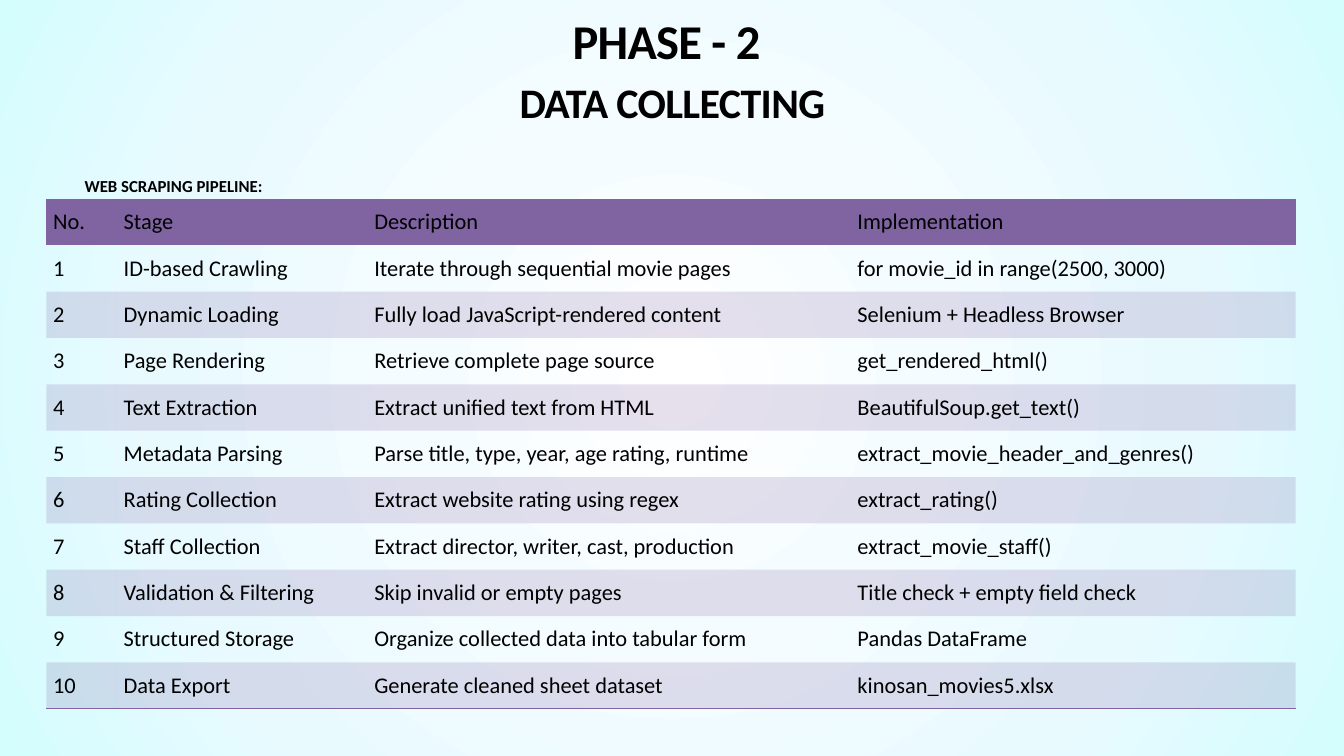
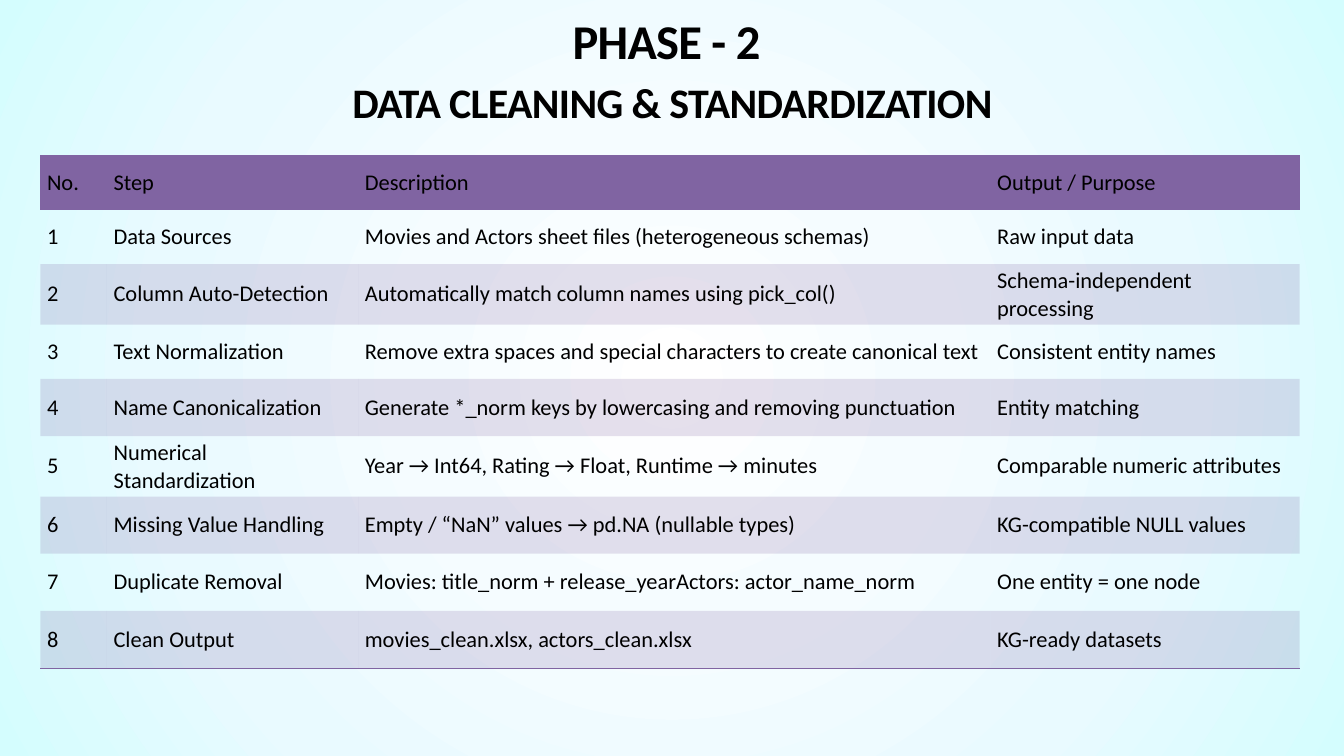
from lxml import etree
from pptx import Presentation
from pptx import util as u
from pptx.dml.color import RGBColor
from pptx.enum import text
from pptx.oxml import parse_xml
from pptx.oxml.ns import nsdecls, qn

COLORS = {
    "ink": "000000",
    "purple": "8064A2",
    "center": "FFFFFF",
    "inner": "F5FCFF",
    "outer": "E9FAFF",
    "edge": "D4FDFE",
}
GLOW = [(0, "center"), (33, "inner"), (67, "outer"), (100, "edge")]
FONT = "Calibri"
NO_STYLE = "{2D5ABB26-0587-4C30-8999-92F81FD0307C}"
BAND_OPACITY = 20

# Grid of square cells, 20 columns across the slide
WIDTH, HEIGHT = u.Inches(20), u.Inches(11.25)
CELL = WIDTH / 20

# Text styles: size, bold, letter spacing, line spacing, alignment
PHASE = {"size": 52, "bold": True, "tracking": -0.8, "leading": 72.8, "centred": True}
TITLE = {"size": 45, "bold": True, "tracking": -0.7, "leading": 63, "centred": True}
LABEL = {"size": 18, "bold": True}
ENTRY = {"size": 24}

PIPELINE = [
    ("No.", "Stage", "Description", "Implementation"),
    ("1", "ID-based Crawling", "Iterate through sequential movie pages",
     "for movie_id in range(2500, 3000)"),
    ("2", "Dynamic Loading", "Fully load JavaScript-rendered content",
     "Selenium + Headless Browser"),
    ("3", "Page Rendering", "Retrieve complete page source", "get_rendered_html()"),
    ("4", "Text Extraction", "Extract unified text from HTML", "BeautifulSoup.get_text()"),
    ("5", "Metadata Parsing", "Parse title, type, year, age rating, runtime",
     "extract_movie_header_and_genres()"),
    ("6", "Rating Collection", "Extract website rating using regex", "extract_rating()"),
    ("7", "Staff Collection", "Extract director, writer, cast, production",
     "extract_movie_staff()"),
    ("8", "Validation & Filtering", "Skip invalid or empty pages",
     "Title check + empty field check"),
    ("9", "Structured Storage", "Organize collected data into tabular form",
     "Pandas DataFrame"),
    ("10", "Data Export", "Generate cleaned sheet dataset", "kinosan_movies5.xlsx"),
]
CLEANING = [
    ("No.", "Step", "Description", "Output / Purpose"),
    ("1", "Data Sources", "Movies and Actors sheet files (heterogeneous schemas)",
     "Raw input data"),
    ("2", "Column Auto-Detection", "Automatically match column names using pick_col()",
     "Schema-independent processing"),
    ("3", "Text Normalization",
     "Remove extra spaces and special characters to create canonical text",
     "Consistent entity names"),
    ("4", "Name Canonicalization",
     "Generate *_norm keys by lowercasing and removing punctuation", "Entity matching"),
    ("5", "Numerical Standardization", "Year → Int64, Rating → Float, Runtime → minutes",
     "Comparable numeric attributes"),
    ("6", "Missing Value Handling", "Empty / “NaN” values → pd.NA (nullable types)",
     "KG-compatible NULL values"),
    ("7", "Duplicate Removal", "Movies: title_norm + release_yearActors: actor_name_norm",
     "One entity = one node"),
    ("8", "Clean Output", "movies_clean.xlsx, actors_clean.xlsx", "KG-ready datasets"),
]


def grid(*lengths):
    return [round(length * CELL) for length in lengths]


def write(para, words, style):
    """Put one styled span into a paragraph."""
    span = para.add_run()
    span.text = words
    formats = {"name": FONT, "size": u.Pt(style["size"]), "bold": style.get("bold", False)}
    for name, value in formats.items():
        setattr(span.font, name, value)
    span.font.color.rgb = RGBColor.from_string(COLORS["ink"])
    if "tracking" in style:
        span.font._element.set("spc", str(round(style["tracking"] * 100)))
    if "leading" in style:
        para.line_spacing = u.Pt(style["leading"])
    if style.get("centred"):
        para.alignment = text.PP_ALIGN.CENTER


def add_text(page, place, words, style, inset=True):
    frame = page.shapes.add_textbox(*grid(*place)).text_frame
    frame.word_wrap = True
    frame.auto_size = text.MSO_AUTO_SIZE.SHAPE_TO_FIT_TEXT
    if not inset:
        for side in ("left", "top", "right", "bottom"):
            setattr(frame, f"margin_{side}", 0)
    write(frame.paragraphs[0], words, style)


def paint_background(page):
    """Radial glow from the middle of the page to its edges."""
    page.background.fill.gradient()
    glow = page.background._cSld.find(".//" + qn("a:gradFill"))
    stops = "".join(
        f'<a:gs pos="{share * 1000}"><a:srgbClr val="{COLORS[name]}"/></a:gs>'
        for share, name in GLOW)
    glow.getparent().replace(glow, parse_xml(
        f'<a:gradFill {nsdecls("a")} rotWithShape="1"><a:gsLst>{stops}</a:gsLst>'
        '<a:path path="circle"><a:fillToRect l="50000" t="50000" r="50000" b="50000"/>'
        '</a:path></a:gradFill>'))


def add_page(deck, title):
    """Page with the shared background and both heading lines."""
    page = deck.slides.add_slide(deck.slide_layouts[6])
    paint_background(page)
    add_text(page, (3.29, 1.02, 13.43, 0.85), title, TITLE, inset=False)
    add_text(page, (8.16, 0.02, 3.67, 0.98), "PHASE - 2 ", PHASE, inset=False)
    return page


def fill_cell(cell, opacity):
    if not opacity:
        cell.fill.background()
        return
    cell.fill.solid()
    cell.fill.fore_color.rgb = RGBColor.from_string(COLORS["purple"])
    if opacity < 100:
        color = cell._tc.tcPr.find(".//" + qn("a:srgbClr"))
        etree.SubElement(color, qn("a:alpha")).set("val", str(opacity * 1000))


def rule_cell(cell, side):
    """Border of one point on the top (T) or bottom (B) side."""
    cell._tc.tcPr.insert(0, parse_xml(
        f'<a:ln{side} {nsdecls("a")} w="{u.Pt(1)}"><a:solidFill>'
        f'<a:srgbClr val="{COLORS["purple"]}"/></a:solidFill></a:ln{side}>'))


def add_banded_table(page, left, top, widths, heights, entries):
    place = grid(left, top, sum(widths), sum(heights))
    table = page.shapes.add_table(len(entries), len(widths), *place).table
    table.first_row = table.horz_banding = False
    table._tbl.tblPr.find(qn("a:tableStyleId")).text = NO_STYLE
    for column, width in zip(table.columns, grid(*widths)):
        column.width = width
    for row, height in zip(table.rows, grid(*heights)):
        row.height = height

    last = len(entries) - 1
    for number, entry in enumerate(entries):
        opacity = 100 if number == 0 else BAND_OPACITY if number % 2 == 0 else 0
        for cell, words in zip(table.rows[number].cells, entry):
            cell.vertical_anchor = text.MSO_ANCHOR.MIDDLE
            write(cell.text_frame.paragraphs[0], words, ENTRY)
            fill_cell(cell, opacity)
            if number in (0, last):
                rule_cell(cell, "B" if number else "T")


def main():
    deck = Presentation()
    deck.slide_width, deck.slide_height = WIDTH, HEIGHT

    # Data collecting
    page = add_page(deck, "DATA COLLECTING")
    add_text(page, (1.16, 2.56, 7.97, 0.4), "WEB SCRAPING PIPELINE:", LABEL)
    add_banded_table(page, 0.69, 2.96, [1.05, 3.73, 7.19, 6.62],
                     [0.69] * len(PIPELINE), PIPELINE)

    # Data cleaning
    page = add_page(deck, "DATA CLEANING & STANDARDIZATION")
    add_banded_table(page, 0.6, 2.31, [0.99, 3.74, 9.41, 4.6],
                     [0.81, 0.81, 0.85, 0.81, 0.85, 0.81, 0.85, 0.85, 0.85], CLEANING)

    deck.save("out.pptx")


if __name__ == "__main__":
    main()
